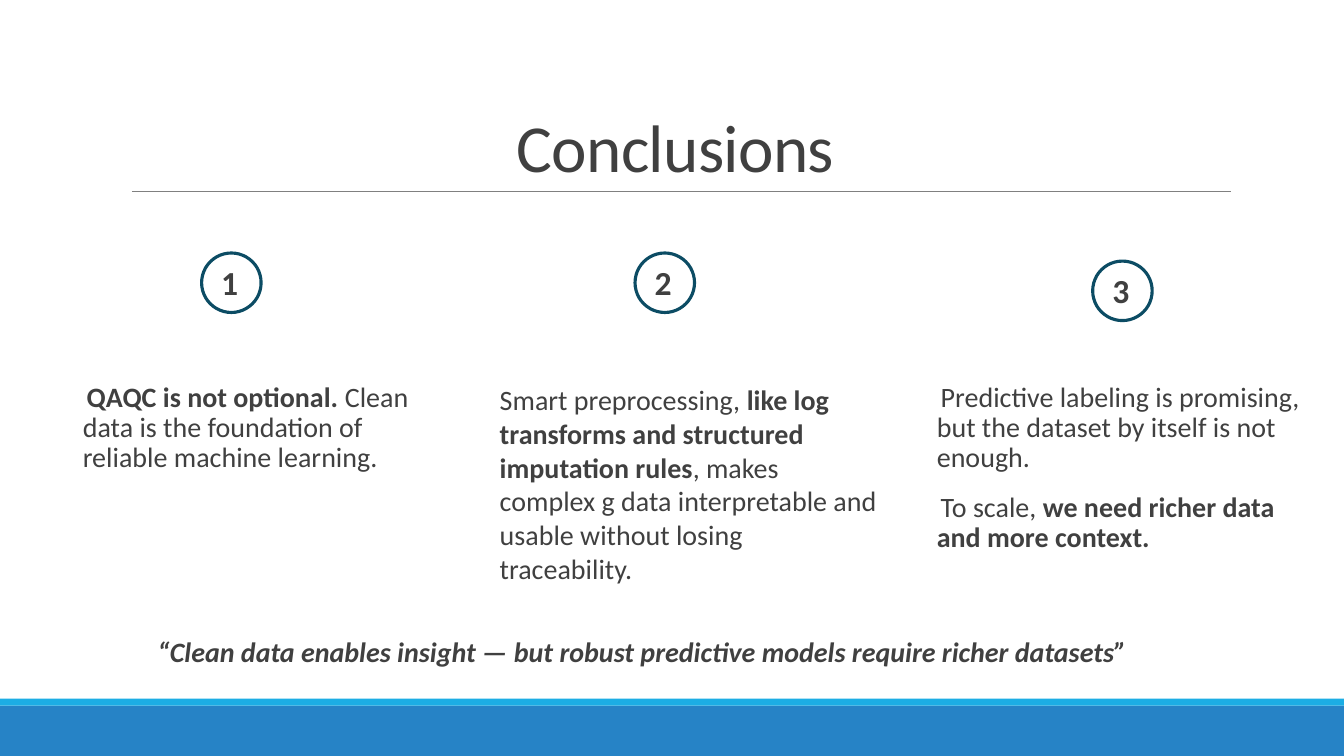
import dataclasses
import typing

import lxml.etree
import pptx
import pptx.dml.color
import pptx.enum.shapes
import pptx.enum.text
import pptx.oxml.ns
import pptx.shapes.autoshape
import pptx.text.text
import pptx.util

Pt = pptx.util.Pt
Kind = pptx.enum.shapes.MSO_SHAPE
Align = pptx.enum.text.PP_ALIGN
HUES = {
    "text": "404040",
    "bar": "2683C6",
    "strip": "1CADE4",
    "rule": "808080",
    "ring": "0C4C64",
}
FONT = "Calibri"
RING = 42.5


@dataclasses.dataclass
class Piece:
    text: str
    bold: bool = False
    slant: bool = False


@dataclasses.dataclass
class Column:
    left: float
    top: float
    paras: list[list[Piece]]
    tight: bool = True


@dataclasses.dataclass
class Band:
    top: float
    height: float
    hue: str


COLUMNS = [
    Column(144, 180.7, [[
        Piece("QAQC is not optional. ", True),
        Piece("Clean data is the foundation of reliable machine learning."),
    ]]),
    Column(453.6, 180.7, [[
        Piece("Smart preprocessing, "),
        Piece("like log transforms and structured imputation rules", True),
        Piece(", makes complex g data interpretable and usable without losing traceability."),
    ]], tight=False),
    Column(780.5, 186.5, [
        [Piece("Predictive labeling is promising, but the dataset by itself is not enough.")],
        [Piece("To scale, "), Piece("we need richer data and more context.", True)],
    ]),
]
BANDS = [Band(504, 36, "bar"), Band(499, 5, "strip")]
QUOTE = "“Clean data enables insight — but robust predictive models require richer datasets”"


def tint(name: str) -> pptx.dml.color.RGBColor:
    return pptx.dml.color.RGBColor.from_string(HUES[name])


def style(run: typing.Any, size: float, bold: bool = False, slant: bool = False) -> None:
    font = run.font
    font.name, font.size = FONT, Pt(size)
    font.bold, font.italic = bold, slant
    font.color.rgb = tint("text")


def indent(para: typing.Any) -> None:
    props = para._p.get_or_add_pPr()
    props.set("marL", str(Pt(7.2)))
    props.set("indent", str(-Pt(7.2)))
    qn = pptx.oxml.ns.qn
    hue = lxml.etree.SubElement(props, qn("a:buClr"))
    lxml.etree.SubElement(hue, qn("a:srgbClr"), val=HUES["strip"])
    lxml.etree.SubElement(props, qn("a:buChar"), char=" ")


def write(shapes: typing.Any, box: tuple[float, float, float, float],
          paras: list[list[Piece]], size: float = 20, tight: bool = True,
          bullet: bool = True, align: Align = Align.LEFT) -> None:
    frame = shapes.add_textbox(*map(Pt, box)).text_frame
    frame.word_wrap = True
    frame.margin_left = frame.margin_right = 0
    frame.margin_top = frame.margin_bottom = Pt(3.6)
    for i, parts in enumerate(paras):
        para = frame.add_paragraph() if i else frame.paragraphs[0]
        para.alignment = align
        if tight:
            para.line_spacing = 0.9
            para.space_before, para.space_after = Pt(12), Pt(2)
            if bullet:
                indent(para)
        for part in parts:
            run = para.add_run()
            run.text = part.text
            style(run, size, part.bold, part.slant)


def draw_band(shapes: typing.Any, band: Band) -> None:
    shape = shapes.add_shape(Kind.RECTANGLE, 0, Pt(band.top), Pt(960), Pt(band.height))
    shape.shadow.inherit = False
    shape.fill.solid()
    shape.fill.fore_color.rgb = tint(band.hue)
    shape.line.fill.background()


def draw_rule(shapes: typing.Any) -> None:
    rule = shapes.add_connector(pptx.enum.shapes.MSO_CONNECTOR.STRAIGHT,
                                Pt(94.3), Pt(136.8), Pt(879.1), Pt(136.8))
    rule.line.color.rgb = tint("rule")
    rule.line.width = Pt(0.5)
    lxml.etree.SubElement(rule._element.spPr, pptx.oxml.ns.qn("a:effectLst"))


def draw_title(title: typing.Any) -> None:
    title.left, title.top = Pt(86.4), Pt(22.3)
    title.width, title.height = Pt(792), Pt(114.5)
    frame = title.text_frame
    frame.text = "Conclusions"
    frame.word_wrap = True
    frame.auto_size = pptx.enum.text.MSO_AUTO_SIZE.NONE
    frame.vertical_anchor = pptx.enum.text.MSO_ANCHOR.BOTTOM
    para = frame.paragraphs[0]
    para.alignment, para.line_spacing = Align.CENTER, 0.85
    run = para.runs[0]
    style(run, 48)
    run._r.get_or_add_rPr().set("spc", "-50")


def draw_column(shapes: typing.Any, index: int, col: Column) -> None:
    group = shapes.add_group_shape().shapes
    ring = group.add_shape(Kind.OVAL, Pt(col.left), Pt(col.top), Pt(RING), Pt(RING))
    ring.shadow.inherit = False
    ring.fill.background()
    ring.line.color.rgb = tint("ring")
    ring.line.width = Pt(2.25)
    write(group, (col.left + 14, col.top + 6, 29.5, 26.6),
          [[Piece(str(index + 1), True)]], size=24, bullet=False)
    write(group, (52 + 305 * index, 270, 269.3, 316.8), col.paras, tight=col.tight)


def main() -> None:
    deck = pptx.Presentation()
    deck.slide_width, deck.slide_height = Pt(960), Pt(540)
    slide = deck.slides.add_slide(deck.slide_layouts[5])
    shapes = slide.shapes
    for band in BANDS:
        draw_band(shapes, band)
    draw_rule(shapes)
    draw_title(shapes.title)
    for index, col in enumerate(COLUMNS):
        draw_column(shapes, index, col)
    write(shapes, (17.3, 452.2, 873.4, 28.8), [[Piece(QUOTE, True, True)]],
          align=Align.CENTER)
    deck.save("out.pptx")


if __name__ == "__main__":
    main()
